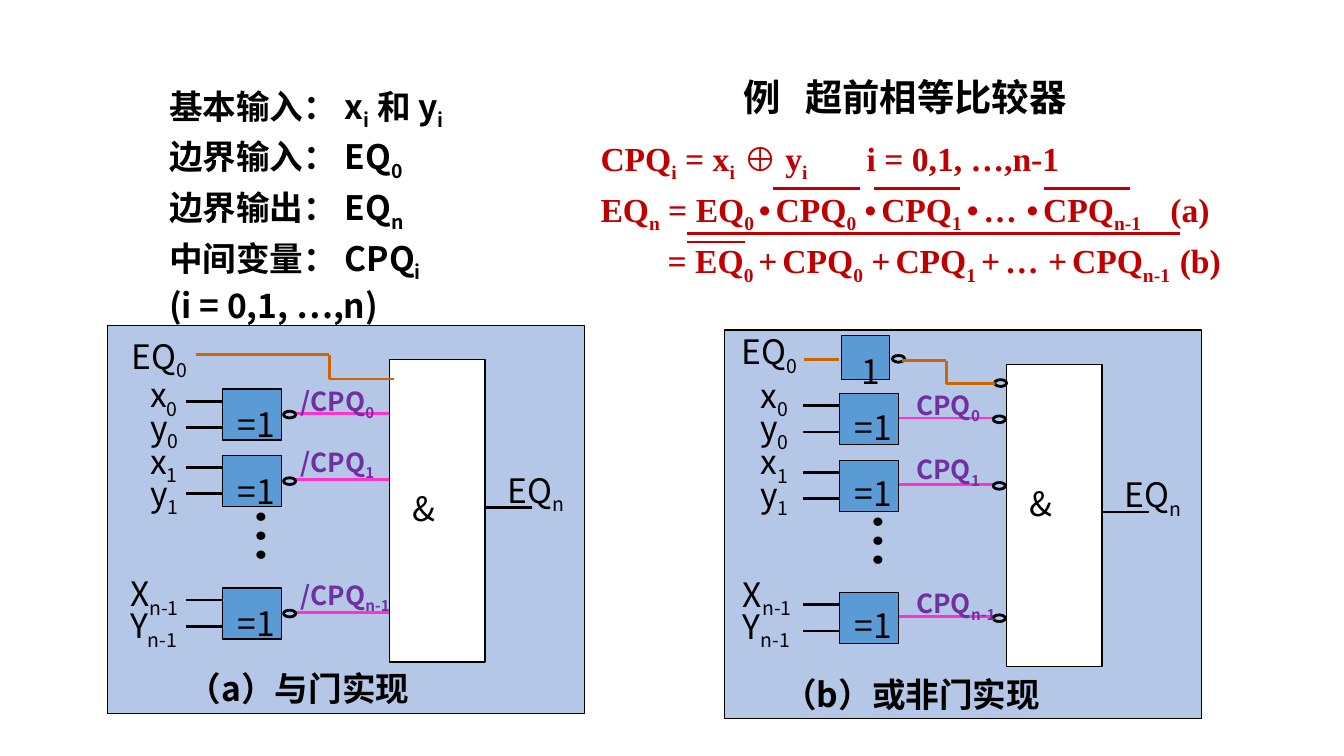
"""Slide on a look-ahead equality comparator with two gate-level circuits."""
from dataclasses import dataclass
from itertools import pairwise

from lxml import etree
from pptx import Presentation
from pptx.dml.color import RGBColor
from pptx.enum.shapes import MSO_CONNECTOR, MSO_SHAPE
from pptx.enum.text import MSO_ANCHOR, PP_ALIGN
from pptx.oxml.ns import qn
from pptx.util import Inches, Pt

STRAIGHT = MSO_CONNECTOR.STRAIGHT
RECTANGLE, OVAL = MSO_SHAPE.RECTANGLE, MSO_SHAPE.OVAL
TOP, LEFT = MSO_ANCHOR.TOP, PP_ALIGN.LEFT
SLIDE_WIDTH = Inches(10)
SLIDE_HEIGHT = SLIDE_WIDTH * 9 // 16
COLUMNS = 100
TITLE_ONLY = 5
GATE_TOPS = (4.75, 9.7, 19.55)
INPUTS = (("x_0_", "y_0_"), ("x_1_", "y_1_"), ("X_n-1_", "Y_n-1_"))
PRODUCTS = ("CPQ_0_", "CPQ_1_", "CPQ_n-1_")


@dataclass(frozen=True)
class Theme:
    """Colours, fonts and type sizes of the slide."""
    ink: str = "000000"
    panel: str = "B4C7E7"
    gate: str = "5B9BD5"
    white: str = "FFFFFF"
    product: str = "FF33CC"
    boundary: str = "CC6600"
    signal: str = "7030A0"
    formula: str = "C00000"
    sans: str = "Noto Sans CJK JP"
    serif: str = "Times New Roman"
    title: int = 20
    body: int = 18
    small: int = 14
    outline: float = 0.75
    wire: float = 1.5


@dataclass(frozen=True)
class Circuit:
    """Everything in which one circuit differs from the other."""
    origin: tuple
    inverted_inputs: bool
    caption: str
    caption_box: tuple
    boundary_label: tuple
    boundary_wires: tuple
    input_lefts: tuple
    input_rise: float
    symbol_drop: float
    product_prefix: str
    product_left: float
    product_tops: tuple
    output_symbol_top: float


THEME = Theme()
AND_CIRCUIT = Circuit(
    (8, 24.2), False, "（a）与门实现", (5, 25, 23, 4), (0.8, 0.3),
    (((6.6, 2.2), (16.5, 2.2), (16.5, 4), (21.3, 4)),),
    (2.2, 2.2, 0.7), -1.6, 0.65, "/", 13.4, (4, 8.5, 18.4), 11.6)
NOR_CIRCUIT = Circuit(
    (53.9, 24.55), True, "（b）或非门实现", (3.4, 25.1, 30, 4), (0.3, -0.4),
    (((5.9, 2.2), (8.5, 2.2)), ((13.2, 2.3), (16.5, 2.3), (16.5, 4), (20.1, 4))),
    (1.7, 1.7, 0.4), -1.9, 0.45, "", 13.3, (3.9, 8.7, 18.7), 10.9)
FORMULAS = (
    ("CPQ_i_ = x_i_ ⊕ y_i_\ti = 0,1, …,n-1", (19.8,)),
    ("EQ_n_ = EQ_0 _•_ _CPQ_0_ •_ _CPQ_1 _•_ _…\t•_ _CPQ_n-1_\t(a)", (31.7, 42.4)),
    ("\t= EQ_0 _+_ _CPQ_0_ +_ _CPQ_1 _+_ _…\t+_ _CPQ_n-1_\t(b)", (5, 33.3, 43.1)),
)
OVERBARS = ((51.1, 55.4, 18), (57.5, 64, 14), (65, 71.4, 14),
            (77.7, 84.1, 14), (51.1, 87.8, 17.4))
VARIABLES = ("基本输入： x_i_ 和 y_i_", "边界输入： EQ_0_", "边界输出： EQ_n_",
             "中间变量： CPQ_i_", "(i = 0,1, …,n)")


def grid(*steps):
    """Turn grid steps into slide lengths."""
    return [int(step * SLIDE_WIDTH / COLUMNS) for step in steps]


def write(paragraph, text, *, size=THEME.body, color=THEME.ink, font=THEME.sans,
          bold=False, line_spacing=None, space_before=0, tabs=()):
    """Write text whose parts between underscores are subscripts."""
    paragraph.alignment = LEFT
    if line_spacing:
        paragraph.line_spacing = line_spacing
    paragraph.space_before = Pt(space_before)
    if tabs:
        stops = etree.SubElement(paragraph._p.get_or_add_pPr(), qn("a:tabLst"))
        for position in grid(*tabs):
            etree.SubElement(stops, qn("a:tab"), pos=str(position), algn="l")
    for index, part in enumerate(text.split("_")):
        if not part:
            continue
        run = paragraph.add_run()
        run.text = part
        run.font.size, run.font.bold, run.font.name = Pt(size), bold, font
        run.font.color.rgb = RGBColor.from_string(color)
        properties = run._r.get_or_add_rPr()
        etree.SubElement(properties, qn("a:ea"), typeface=font)
        if index % 2:
            properties.set("baseline", "-25000")


def add_label(shapes, box, text, **style):
    """Add a text box and return its frame."""
    frame = shapes.add_textbox(*grid(*box)).text_frame
    frame.word_wrap = True
    write(frame.paragraphs[0], text, **style)
    return frame


def add_lines(frame, lines, **style):
    """Append paragraphs given as text and tab stops."""
    for text, tabs in lines:
        write(frame.add_paragraph(), text, tabs=tabs, **style)


def add_block(shapes, kind, box, fill=None, width=THEME.outline):
    """Add an outlined shape, open when no fill is given."""
    block = shapes.add_shape(kind, *grid(*box))
    block.shadow.inherit = False
    if fill:
        block.fill.solid()
        block.fill.fore_color.rgb = RGBColor.from_string(fill)
    else:
        block.fill.background()
    block.line.color.rgb = RGBColor.from_string(THEME.ink)
    block.line.width = Pt(width)


def add_wire(shapes, points, color=THEME.ink):
    """Join successive points with straight lines."""
    for start, end in pairwise(points):
        wire = shapes.add_connector(STRAIGHT, *grid(*start, *end))
        wire.line.color.rgb = RGBColor.from_string(color)
        wire.line.width = Pt(THEME.wire)
        etree.SubElement(wire._element.spPr, qn("a:effectLst"))


def add_circuit(slide, circuit):
    """Draw one comparator circuit on its panel."""
    shapes = slide.shapes.add_group_shape().shapes
    left, top = circuit.origin

    def at(x, y, *size):
        return (left + x, top + y, *size)

    def bubble(x, y):
        add_block(shapes, OVAL, at(x, y, 0.9, 0.5), width=THEME.wire)

    add_block(shapes, RECTANGLE, at(0, 0, 35.5, 28.9), THEME.panel)
    for gate_top, inputs, input_left in zip(GATE_TOPS, INPUTS, circuit.input_lefts):
        add_block(shapes, RECTANGLE, at(8.55, gate_top, 4.4, 3.8), THEME.gate)
        add_label(shapes, at(8.7, gate_top + circuit.symbol_drop, 5.3, 4), "=1")
        wire_left = 13 if circuit.inverted_inputs else 14
        wire_top = gate_top + 1.8
        add_wire(shapes, (at(wire_left, wire_top), at(wire_left + 7.1, wire_top)),
                 THEME.product)
        bubble(20 if circuit.inverted_inputs else 13.1, gate_top + 1.65)
        for row, name in enumerate(inputs):
            input_top = gate_top + 0.9 + 1.95 * row
            add_wire(shapes, (at(5.85, input_top), at(8.55, input_top)))
            label_top = gate_top + circuit.input_rise + 2.4 * row
            add_label(shapes, at(input_left, label_top, 6, 4), name)

    add_block(shapes, RECTANGLE, at(21, 2.55, 7.1, 22.5), THEME.white)
    add_label(shapes, at(21.7, circuit.output_symbol_top, 6.2, 4), "&")
    add_wire(shapes, (at(28.1, 13.55), at(31.6, 13.55)))
    add_label(shapes, at(28.8, 10.25, 7.1, 4), "EQ_n_")
    dots = add_label(shapes, at(8.7, 12.9, 5, 6.3), "• • •")
    dots._txBody.bodyPr.set("vert", "eaVert")

    if circuit.inverted_inputs:
        add_block(shapes, RECTANGLE, at(8.7, 0.4, 3.6, 3.3), THEME.gate)
        add_label(shapes, at(9.2, 1.1, 4.2, 4), "1")
        bubble(12.5, 1.9)
        bubble(20.1, 3.7)
    for points in circuit.boundary_wires:
        add_wire(shapes, [at(*point) for point in points], THEME.boundary)
    add_label(shapes, at(*circuit.boundary_label, 7.1, 4), "EQ_0_")
    for name, label_top in zip(PRODUCTS, circuit.product_tops):
        add_label(shapes, at(circuit.product_left, label_top, 10, 3.4),
                  circuit.product_prefix + name,
                  size=THEME.small, color=THEME.signal, bold=True)
    add_label(shapes, at(*circuit.caption_box), circuit.caption, bold=True)


def add_formulas(slide):
    """Write the equations with their overbars."""
    shapes = slide.shapes.add_group_shape().shapes
    style = dict(color=THEME.formula, font=THEME.serif, bold=True, line_spacing=0.75)
    (first, first_tabs), *others = FORMULAS
    frame = add_label(shapes, (43.7, 10.2, 55.7, 10.8), first, tabs=first_tabs, **style)
    add_lines(frame, others, space_before=9, **style)
    for start, end, height in OVERBARS:
        add_wire(shapes, ((start, height), (end, height)), THEME.formula)


def add_variables(slide):
    """List the signals of the comparator."""
    style = dict(bold=True, line_spacing=0.8)
    first, *others = VARIABLES
    frame = add_label(slide.shapes, (11.6, 6.2, 44.4, 15.6), first, **style)
    add_lines(frame, [(text, ()) for text in others], space_before=7.5, **style)


def set_title(slide, text):
    """Place and format the title placeholder."""
    title = slide.shapes.title
    title.left, title.top, title.width, title.height = grid(54.3, 5.4, 36.7, 4.7)
    frame = title.text_frame
    frame.vertical_anchor = TOP
    write(frame.paragraphs[0], text, size=THEME.title, bold=True,
          line_spacing=0.9, tabs=(4.6,))


def main():
    """Build and save the slide."""
    deck = Presentation()
    deck.slide_width, deck.slide_height = SLIDE_WIDTH, SLIDE_HEIGHT
    slide = deck.slides.add_slide(deck.slide_layouts[TITLE_ONLY])
    add_circuit(slide, NOR_CIRCUIT)
    add_circuit(slide, AND_CIRCUIT)
    add_formulas(slide)
    set_title(slide, "例\t超前相等比较器")
    add_variables(slide)
    deck.save("out.pptx")


if __name__ == "__main__":
    main()
